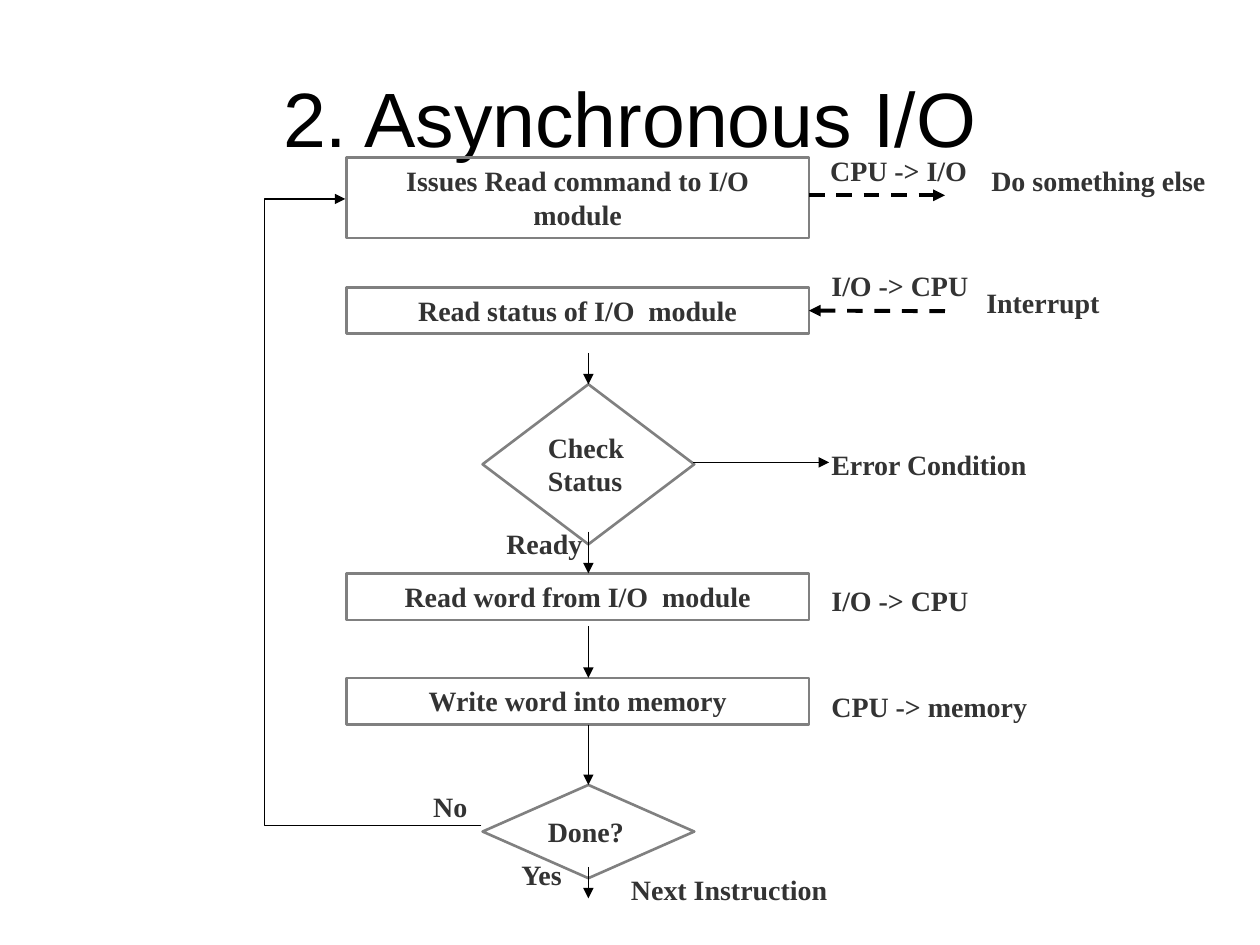
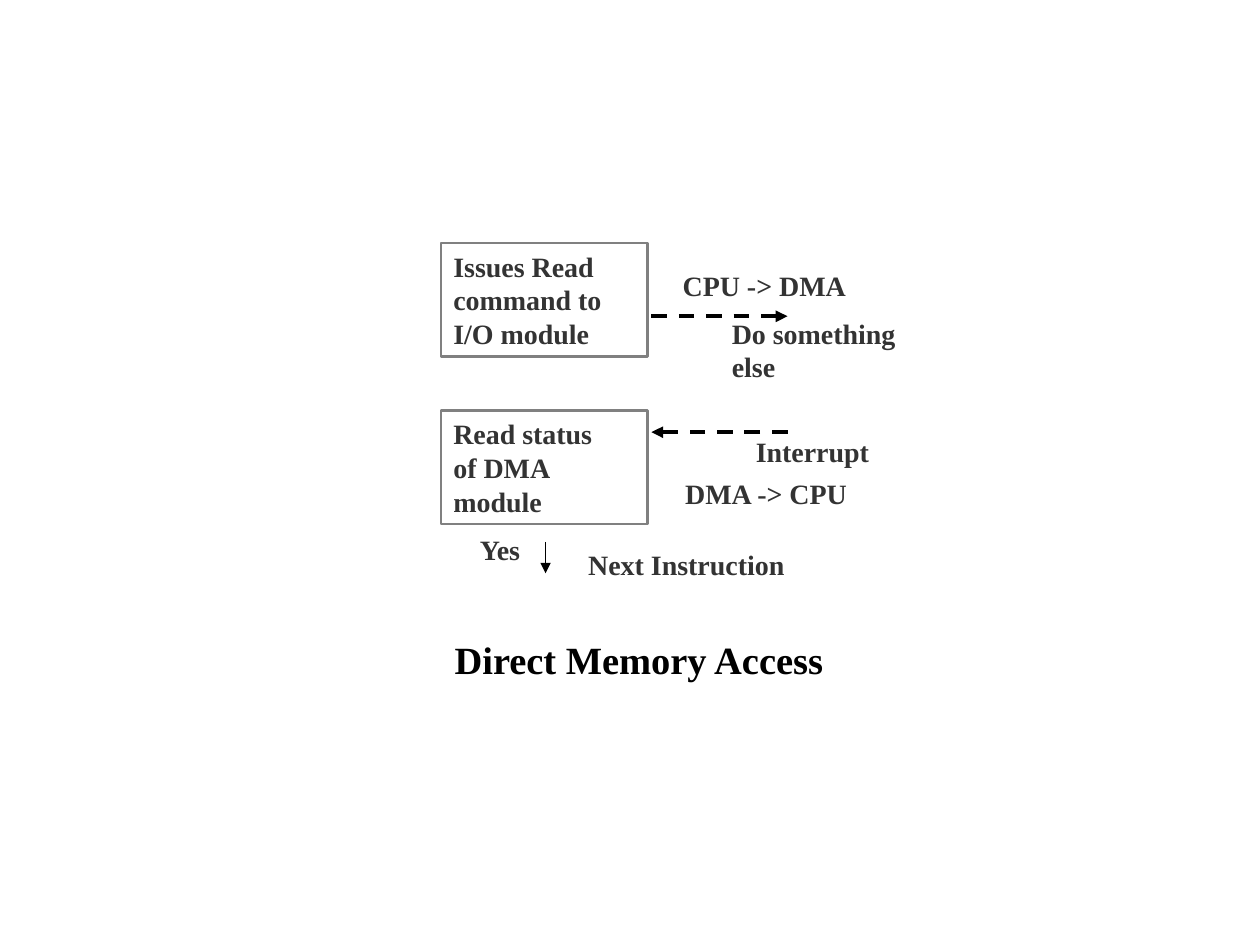
import pptx
import pptx.util
import pptx.dml.color
import pptx.enum.dml
import pptx.enum.shapes
import pptx.enum.text
import pptx.oxml
import pptx.oxml.ns

Inches = pptx.util.Inches
Pt = pptx.util.Pt
RGB = pptx.dml.color.RGBColor.from_string
Shape = pptx.enum.shapes.MSO_SHAPE
Route = pptx.enum.shapes.MSO_CONNECTOR
Align = pptx.enum.text.PP_ALIGN

COLORS = {"outline": "808080", "label": "333333", "ink": "000000"}
LABEL_FONT = "Times New Roman"
TITLE_FONT = "Arial"


def add_label(page, text, left, top, width, height=0.37, preset=None,
              align=Align.LEFT, size=16, color="label"):
    place = [Inches(length) for length in (left, top, width, height)]
    if preset is None:
        box = page.shapes.add_textbox(*place)
    else:
        box = page.shapes.add_shape(preset, *place)
        box.shadow.inherit = False
        box.fill.background()
        box.line.color.rgb = RGB(COLORS["outline"])
        box.line.width = Pt(1.5)
    frame = box.text_frame
    frame.word_wrap = True
    frame.auto_size = pptx.enum.text.MSO_AUTO_SIZE.SHAPE_TO_FIT_TEXT
    frame.vertical_anchor = pptx.enum.text.MSO_ANCHOR.TOP
    for index, line in enumerate(text.split("\n")):
        para = frame.add_paragraph() if index else frame.paragraphs[0]
        para.alignment = align
        span = para.add_run()
        span.text = line
        span.font.name = LABEL_FONT
        span.font.size = Pt(size)
        span.font.bold = True
        span.font.color.rgb = RGB(COLORS[color])
    return box


def add_arrow(page, start, end, dashed=False, route=Route.STRAIGHT):
    arrow = page.shapes.add_connector(route, *[Inches(length) for length in start + end])
    arrow.line.color.rgb = RGB(COLORS["ink"])
    arrow.line.width = Pt(2.25 if dashed else 0.75)
    if dashed:
        arrow.line.dash_style = pptx.enum.dml.MSO_LINE.DASH
    tip = pptx.oxml.parse_xml(f'<a:tailEnd {pptx.oxml.ns.nsdecls("a")} type="triangle"/>')
    arrow.line._get_or_add_ln().append(tip)
    arrow._element.spPr.append(pptx.oxml.parse_xml(f'<a:effectLst {pptx.oxml.ns.nsdecls("a")}/>'))
    return arrow


deck = pptx.Presentation()
deck.slide_width = Inches(10)
deck.slide_height = Inches(7.5)

page = deck.slides.add_slide(deck.slide_layouts[5])
title = page.shapes.title
title.left, title.top, title.width, title.height = [Inches(length) for length in (0.5, 0.3, 9, 1.25)]
title.text_frame.vertical_anchor = pptx.enum.text.MSO_ANCHOR.MIDDLE
para = title.text_frame.paragraphs[0]
para.alignment = Align.CENTER
span = para.add_run()
span.text = "2. Asynchronous I/O"
span.font.name = TITLE_FONT
span.font.size = Pt(44)
span.font.color.rgb = RGB(COLORS["ink"])

steps = {}
for text, top, height in [
    ("Issues Read command to I/O module", 1.25, 0.64),
    ("Read status of I/O  module", 2.28, 0.37),
    ("Read word from I/O  module", 4.55, 0.37),
    ("Write word into memory", 5.38, 0.37),
]:
    steps[text] = add_label(page, text, 2.75, top, 3.67, height, Shape.RECTANGLE, Align.CENTER)

decisions = {}
for text, top, height in [("Check Status", 3.05, 1.27), ("Done?", 6.23, 0.74)]:
    decisions[text] = add_label(page, text, 3.83, top, 1.68, height, Shape.FLOWCHART_DECISION)

flow_x = 4.67
for start_y, end_y, target in [
    (2.8, 3.05, "Check Status"),
    (4.22, 4.55, None),
    (4.97, 5.38, None),
    (5.75, 6.23, "Done?"),
    (6.88, 7.13, None),
]:
    arrow = add_arrow(page, (flow_x, start_y), (flow_x, end_y))
    if target:
        arrow.end_connect(decisions[target], 0)

loop = add_arrow(page, (3.82, 6.55), (2.74, 1.58), route=Route.ELBOW)
guides = loop._element.spPr.find(pptx.oxml.ns.qn("a:prstGeom")).get_or_add_avLst()
guides.append(pptx.oxml.parse_xml(
    f'<a:gd {pptx.oxml.ns.nsdecls("a")} name="adj1" fmla="val 159300"/>'))

add_arrow(page, (5.5, 3.67), (6.58, 3.67))
add_arrow(page, (6.42, 1.55), (7.5, 1.55), dashed=True)
interrupt = add_arrow(page, (7.5, 2.47), (6.42, 2.47), dashed=True)
interrupt.end_connect(steps["Read status of I/O  module"], 3)

for text, left, top, width in [
    ("CPU -> I/O", 6.49, 1.17, 1.35),
    ("I/O -> CPU", 6.5, 2.08, 1.35),
    ("Error Condition", 6.5, 3.5, 2.17),
    ("I/O -> CPU", 6.5, 4.58, 1.35),
    ("CPU -> memory", 6.5, 5.42, 1.82),
    ("Yes", 4.04, 6.76, 0.6),
    ("No", 3.34, 6.22, 0.53),
    ("Ready", 3.92, 4.13, 0.87),
    ("Next Instruction", 4.91, 6.88, 1.83),
    ("Do something else", 7.77, 1.25, 2.23),
    ("Interrupt", 7.73, 2.22, 1.17),
]:
    add_label(page, text, left, top, width)

page = deck.slides.add_slide(deck.slide_layouts[6])
add_label(page, "Direct Memory Access", 3.51, 5, 3.22, 0.47, size=22, color="ink")
for text, top in [
    ("Issues Read command to I/O module", 1.93),
    ("Read status\nof DMA\nmodule", 3.26),
]:
    add_label(page, text, 3.5, top, 1.64, 0.9, Shape.RECTANGLE)

add_arrow(page, (4.33, 4.3), (4.33, 4.55))
add_arrow(page, (6.25, 3.43), (5.17, 3.43), dashed=True)
add_arrow(page, (5.17, 2.51), (6.25, 2.51), dashed=True)

for text, left, top, width, height in [
    ("CPU -> DMA", 5.32, 2.08, 1.56, 0.37),
    ("DMA -> CPU", 5.34, 3.73, 1.56, 0.37),
    ("Yes", 3.71, 4.18, 0.6, 0.37),
    ("Next Instruction", 4.57, 4.3, 1.83, 0.37),
    ("Do something\nelse", 5.71, 2.46, 1.62, 0.64),
    ("Interrupt", 5.9, 3.4, 1.17, 0.37),
]:
    add_label(page, text, left, top, width, height)

deck.save("out.pptx")
